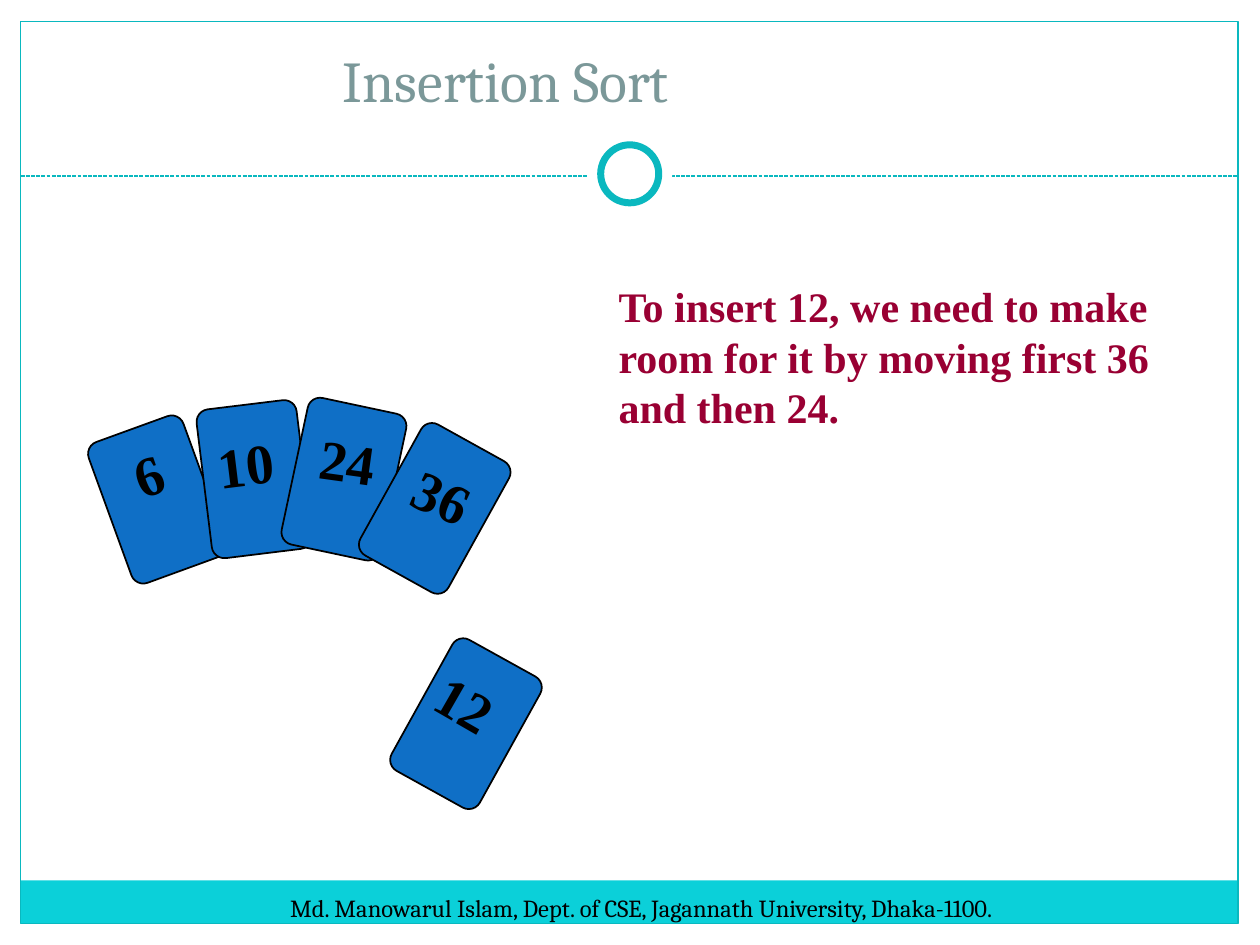
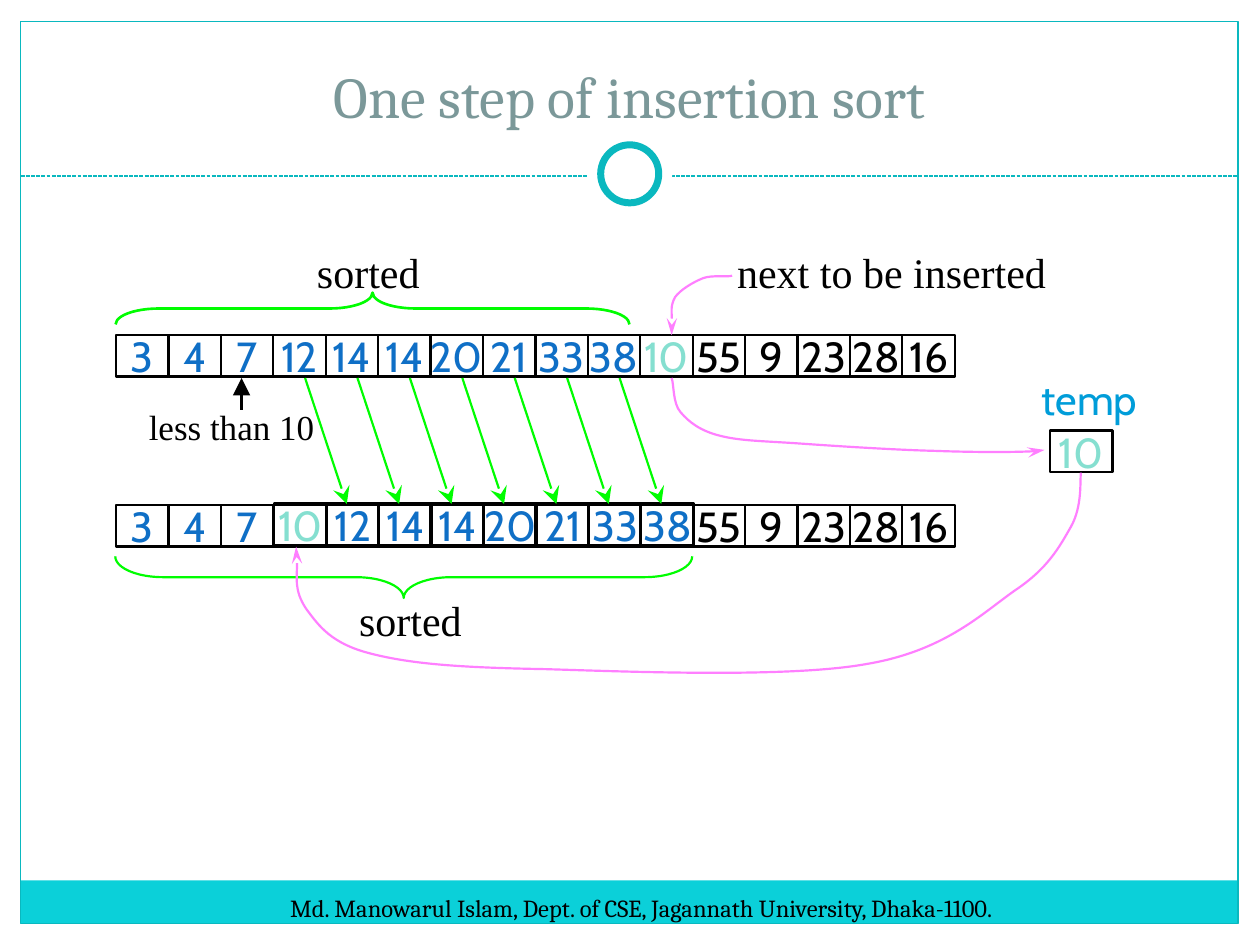
from lxml.etree import SubElement
from pptx import Presentation
from pptx.dml.color import RGBColor as RGB
from pptx.enum.dml import MSO_LINE as Dash
from pptx.enum.shapes import MSO_CONNECTOR as Conn, MSO_SHAPE as Kind
from pptx.enum.text import MSO_ANCHOR as Anchor, MSO_AUTO_SIZE as Fit, PP_ALIGN as Align
from pptx.oxml.ns import qn
from pptx.util import Cm, Pt


class Theme:
    white, black = "FFFFFF", "000000"
    band, frame, title = "0BD0D9", "0AB8BF", "7B9899"
    blue, mint, sky, wine = "0F6FC6", "85DFD0", "009DD9", "990033"
    green, pink = "00FD00", "FF7FFF"
    serif, roman, sans = "Cambria", "Times New Roman", "Cabin"
    head, card, text, note, foot = 33, 32, 24, 20, 14


def draw(slide, kind, box, fill=None, line=None, width=1.25):
    shape = slide.shapes.add_shape(kind, *map(Cm, box))
    shape.shadow.inherit = False
    if fill:
        shape.fill.solid()
        shape.fill.fore_color.rgb = RGB.from_string(fill)
    else:
        shape.fill.background()
    if line:
        shape.line.color.rgb = RGB.from_string(line)
        shape.line.width = Pt(width)
    else:
        shape.line.fill.background()
    return shape


def write(shape, text, size, font, color, align=Align.LEFT, bold=False, wrap=True):
    frame = shape.text_frame
    frame.text = text
    frame.word_wrap = wrap
    frame.auto_size = Fit.NONE
    para = frame.paragraphs[0]
    para.alignment = align
    style = para.runs[0].font
    style.size, style.name, style.bold = Pt(size), font, bold
    style.color.rgb = RGB.from_string(color)
    return frame


deck = Presentation()
deck.slide_width, deck.slide_height = Cm(25.4), Cm(19.05)
layout = deck.slide_layouts.get_by_name("Title Only")
for holder in list(layout.placeholders)[1:]:
    holder.element.getparent().remove(holder.element)

titles = [
    ("Insertion Sort", (1.41, 1.72, 17.58, 0.71)),
    ("One step of insertion sort", (0.84, 0.64, 23.7, 2.11)),
]
slides = []
for text, box in titles:
    slide = deck.slides.add_slide(layout)
    title = slide.shapes.title
    title.left, title.top, title.width, title.height = map(Cm, box)
    frame = write(title, text, Theme.head, Theme.serif, Theme.title, Align.CENTER)
    frame.vertical_anchor = Anchor.BOTTOM
    slides.append(slide)
cards, step = slides
strokes = []  # line shape, colour, width, arrowhead, its width, its length

# Shared frame: drawn once, then moved to the layout
margins = [(0, 0, 25.4, 3.86), (0, 0, 0.42, 19.05), (24.98, 0, 0.42, 19.05)]
parts = [draw(cards, Kind.RECTANGLE, box, Theme.white) for box in margins]
parts.append(draw(cards, Kind.RECTANGLE, (0.41, 17.75, 24.54, 0.86), Theme.band))
parts.append(draw(cards, Kind.RECTANGLE, (0.42, 0.43, 24.54, 18.19),
                  None, Theme.frame, 0.75))
rule = cards.shapes.add_connector(Conn.STRAIGHT, Cm(0.42), Cm(3.55), Cm(24.96), Cm(3.55))
rule.line.dash_style = Dash.SQUARE_DOT
strokes.append((rule, Theme.frame, 0.75, None, None, None))
parts.append(rule)
parts.append(draw(cards, Kind.OVAL, (11.85, 2.67, 1.7, 1.7), Theme.white))
parts.append(draw(cards, Kind.OVAL, (12.11, 2.92, 1.17, 1.17),
                  Theme.white, Theme.frame, 4))
foot = cards.shapes.add_textbox(*map(Cm, (0.97, 17.88, 23.93, 0.86)))
write(foot, "Md. Manowarul Islam, Dept. of CSE, Jagannath University, Dhaka-1100.",
      Theme.foot, Theme.serif, Theme.black, Align.CENTER)
for part in parts + [foot]:
    layout.shapes.element.append(part.element)

# Slide 1: hand of cards
hint = cards.shapes.add_textbox(*map(Cm, (12.22, 5.54, 11.84, 3.3)))
write(hint, "To insert 12, we need to make room for it by moving first 36 and then 24.",
      Theme.text, Theme.roman, Theme.wine, bold=True)
hand = [  # label, card left, top, turn, label left, top, width, turn
    ("6", 2.16, 8.56, 340, 2.46, 8.74, 1.14, 341),
    ("10", 4.11, 8.15, 353, 4.14, 8.53, 1.78, 353),
    ("24", 5.92, 8.15, 12, 6.2, 8.48, 1.78, 8),
    ("12", 8.38, 13.08, 29, 8.56, 13.41, 1.78, 30),
    ("36", 7.75, 8.74, 29, 8.1, 9.22, 1.78, 25),
]
for label, left, top, turn, x, y, width, tilt in hand:
    card = draw(cards, Kind.ROUNDED_RECTANGLE, (left, top, 2.03, 3.02),
                Theme.blue, Theme.black, 1)
    card.adjustments[0] = 0.125
    card.rotation = turn
    tag = cards.shapes.add_textbox(*map(Cm, (x, y, width, 1.6)))
    tag.rotation = tilt
    frame = write(tag, label, Theme.card, Theme.roman, Theme.black, bold=True, wrap=False)
    frame.auto_size = Fit.SHAPE_TO_FIT_TEXT

# Slide 2: array before and after the step
before = [3, 4, 7, 12, 14, 14, 20, 21, 33, 38, 10, 55, 9, 23, 28, 16]
source, target, done = 10, 3, 11
moved = [before[source]] + before[target:source]
after = before[:target] + [None] * len(moved) + before[done:]
pitch = 15.85 / 15
cells = []
for row, top in ((before, 6.75), (after, 10.18)):
    for i, value in enumerate(row):
        color = Theme.mint if i == source else Theme.blue if i < done else Theme.black
        cells.append((value, 2.34 + i * pitch, top, 1.06, color))
cells.append((before[source], 21.16, 8.68, 1.27, Theme.mint))
for i, value in enumerate(moved):
    color = Theme.blue if i else Theme.mint
    cells.append((value, 2.36 + (target + i) * pitch, 10.15, 1.06, color))
for value, left, top, width, color in cells:
    cell = draw(step, Kind.RECTANGLE, (left, top, width, 0.84), None, Theme.black)
    if value is not None:
        frame = write(cell, str(value), Theme.text, Theme.sans, color,
                      Align.CENTER, wrap=False)
        frame.vertical_anchor = Anchor.MIDDLE

braces = [
    ((7.19, 1.04, 0.64, 10.36), 90, 1.36, 1.5),
    ((7.72, 5.82, 0.84, 11.63), 270, 1.15, 1.25),
]
for box, turn, bend, width in braces:
    brace = draw(step, Kind.LEFT_BRACE, box, None, Theme.green, width)
    brace.rotation = turn
    brace.adjustments[0] = bend

labels = [
    ("sorted", (6.14, 4.84, 3.18, 1.27), Theme.text, Theme.roman, Theme.black),
    ("next to be inserted", (14.61, 4.84, 7.62, 1.27), Theme.text, Theme.roman, Theme.black),
    ("temp", (20.75, 7.4, 2.54, 1.27), Theme.text, Theme.sans, Theme.sky),
    ("sorted", (6.99, 11.86, 3.61, 1.27), Theme.text, Theme.roman, Theme.black),
    ("less than 10", (2.75, 8.05, 4.01, 1.09), Theme.note, Theme.roman, Theme.black),
]
for text, box, size, font, color in labels:
    write(step.shapes.add_textbox(*map(Cm, box)), text, size, font, color)

arrows = [((4.87, 8.26, 4.87, 7.62), Theme.black, 1.75, "triangle")]
for i in range(source - target):
    x = 6.15 + i * pitch
    arrows.append(((x, 7.62, x + 0.84, 10.16), Theme.green, 1.25, "stealth"))
for ends, color, width, tip in arrows:
    arrow = step.shapes.add_connector(Conn.STRAIGHT, *map(Cm, ends))
    strokes.append((arrow, color, width, tip, "lg", "lg"))

# Each curve: a start, then two control points and an end per bend
curves = [
    [(14.76, 5.56),
     (14.66, 5.59), (14.35, 5.54), (14.17, 5.61),
     (13.97, 5.69), (13.72, 5.84), (13.61, 5.99),
     (13.51, 6.17), (13.56, 6.43), (13.54, 6.55),
     (13.54, 6.65), (13.54, 6.73), (13.54, 6.76)],
    [(13.54, 7.62),
     (13.59, 7.75), (13.56, 8.13), (13.72, 8.31),
     (13.89, 8.51), (14.12, 8.69), (14.53, 8.79),
     (14.94, 8.89), (15.37, 8.89), (16.1, 8.94),
     (16.81, 8.99), (18.03, 9.07), (18.85, 9.09),
     (19.66, 9.12), (20.57, 9.12), (20.96, 9.09),
     (21.34, 9.09), (21.03, 9.07), (21.06, 9.07)],
    [(21.79, 9.53),
     (21.77, 9.7), (21.82, 10.21), (21.59, 10.62),
     (21.36, 11.02), (21.13, 11.46), (20.45, 11.91),
     (19.76, 12.4), (19.02, 13.13), (17.45, 13.39),
     (15.88, 13.67), (12.65, 13.54), (11, 13.49),
     (9.32, 13.46), (8.31, 13.39), (7.49, 13.18),
     (6.68, 12.98), (6.43, 12.62), (6.17, 12.27),
     (5.92, 11.89), (6.02, 11.28), (5.97, 11.02)],
]
for knots in curves:
    start, *rest = [tuple(map(Cm, knot)) for knot in knots]
    pen = step.shapes.build_freeform(*start)
    pen.add_line_segments(rest, close=False)
    curve = pen.convert_to_shape()
    curve.fill.background()
    # Join every three straight segments into one Bézier segment
    legs = list(curve.element.iter(qn("a:lnTo")))
    outline = legs[0].getparent()
    for k in range(0, len(legs), 3):
        bend = SubElement(outline, qn("a:cubicBezTo"))
        for leg in legs[k:k + 3]:
            bend.append(leg[0])
            outline.remove(leg)
    strokes.append((curve, Theme.pink, 1.25, "stealth", "med", "lg"))

for shape, color, width, tip, span, reach in strokes:
    shape.line.color.rgb = RGB.from_string(color)
    shape.line.width = Pt(width)
    props = shape.element.spPr
    if tip:
        SubElement(props.find(qn("a:ln")), qn("a:tailEnd"), type=tip, w=span, len=reach)
    SubElement(props, qn("a:effectLst"))

deck.save("out.pptx")
